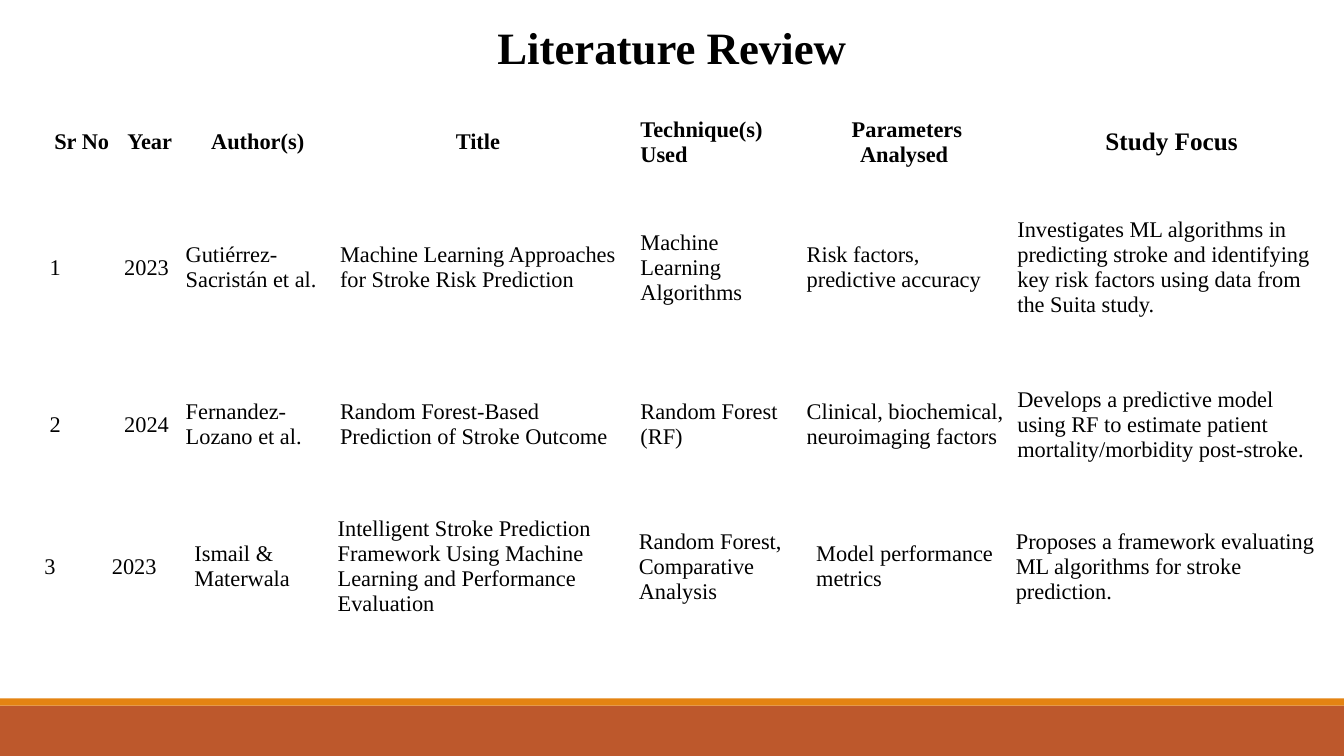
from pptx import Presentation
from pptx.dml.color import RGBColor
from pptx.enum.shapes import MSO_SHAPE
from pptx.enum.text import MSO_ANCHOR, PP_ALIGN
from pptx.oxml.ns import qn
from pptx.util import Cm, Pt

BLACK = RGBColor(0x00, 0x00, 0x00)
RUST = RGBColor(0xBD, 0x58, 0x2C)
ORANGE = RGBColor(0xE4, 0x83, 0x12)
FONT = "Times New Roman"
PLAIN_TABLE_STYLE = "{2D5ABB26-0587-4C30-8999-92F81FD0307C}"
WIDTH, HEIGHT = 33.87, 19.05

# Column 4 is a narrow empty gap; the last row is left open for the third study
REVIEW_COLUMNS = [1.88, 1.55, 3.89, 7.21, 0.3, 4.19, 5.31, 8.03]
REVIEW_HEIGHTS = [1.93, 4.39, 3.53, 4.83]
REVIEW_ROWS = [
    ["Sr No", "Year", "Author(s)", "Title", "", "Technique(s) Used",
     "Parameters Analysed ", "Study Focus"],
    ["1", "2023", "Gutiérrez-Sacristán et al.",
     "Machine Learning Approaches for Stroke Risk Prediction", "",
     "Machine Learning Algorithms", "Risk factors, predictive accuracy",
     "Investigates ML algorithms in predicting stroke and identifying key "
     "risk factors using data from the Suita study."],
    ["2", "2024", "Fernandez-Lozano et al.",
     "Random Forest-Based Prediction of Stroke Outcome", "",
     "Random Forest (RF)", "Clinical, biochemical, neuroimaging factors",
     "Develops a predictive model using RF to estimate patient "
     "mortality/morbidity post-stroke."],
    [""] * 8,
]
THIRD_COLUMNS = [1.7, 2.08, 3.61, 7.59, 4.47, 5.03, 7.98]
THIRD_ROWS = [
    ["3", "2023", "Ismail & Materwala",
     "Intelligent Stroke Prediction Framework Using Machine Learning and "
     "Performance Evaluation",
     "Random Forest, Comparative Analysis", "Model performance metrics",
     "Proposes a framework evaluating ML algorithms for stroke prediction."],
]


class ReviewPage:
    def __init__(self, page):
        self.page = page

    def style(self, para, size, bold=False, align=PP_ALIGN.LEFT):
        para.alignment = align
        for span in para.runs:
            span.font.name = FONT
            span.font.size = Pt(size)
            span.font.bold = bold
            span.font.color.rgb = BLACK

    def bar(self, top, height, color):
        bar = self.page.shapes.add_shape(
            MSO_SHAPE.RECTANGLE, Cm(0), Cm(top), Cm(WIDTH), Cm(height))
        bar.shadow.inherit = False
        bar.fill.solid()
        bar.fill.fore_color.rgb = color
        bar.line.fill.background()

    def title(self, text, left, top, width, height):
        box = self.page.shapes.add_textbox(
            Cm(left), Cm(top), Cm(width), Cm(height))
        box.text_frame.word_wrap = True
        box.text_frame.text = text
        self.style(box.text_frame.paragraphs[0], 32, True, PP_ALIGN.CENTER)

    def table(self, left, top, columns, heights, rows, margin):
        frame = self.page.shapes.add_table(
            len(rows), len(columns), Cm(left), Cm(top),
            Cm(sum(columns)), Cm(sum(heights)))
        for style_id in frame.element.iter(qn("a:tableStyleId")):
            style_id.text = PLAIN_TABLE_STYLE
        table = frame.table
        table.first_row = table.horz_banding = False
        for column, width in zip(table.columns, columns):
            column.width = Cm(width)
        for row, height, texts in zip(table.rows, heights, rows):
            row.height = Cm(height)
            for cell, text in zip(row.cells, texts):
                self.fill_cell(cell, text, margin)
        return table

    def fill_cell(self, cell, text, margin):
        cell.fill.background()
        cell.vertical_anchor = MSO_ANCHOR.MIDDLE
        cell.margin_left = cell.margin_right = Cm(margin)
        cell.margin_top = cell.margin_bottom = Cm(0.05)
        if text:
            cell.text_frame.text = text
            self.style(cell.text_frame.paragraphs[0], 16)

    def header(self, table):
        for cell in table.rows[0].cells:
            technique = cell.text.startswith("Technique")
            size = 18 if cell.text == "Study Focus" else 16
            align = PP_ALIGN.LEFT if technique else PP_ALIGN.CENTER
            self.style(cell.text_frame.paragraphs[0], size, True, align)


def main():
    deck = Presentation()
    deck.slide_width, deck.slide_height = Cm(WIDTH), Cm(HEIGHT)
    review = ReviewPage(deck.slides.add_slide(deck.slide_layouts[6]))

    # Footer bars
    review.bar(17.78, 1.27, RUST)
    review.bar(17.6, 0.18, ORANGE)

    # Title
    review.title("Literature Review", 1.96, 0.38, 29.95, 1.63)

    # Reviewed studies
    studies = review.table(
        1.12, 2.62, REVIEW_COLUMNS, REVIEW_HEIGHTS, REVIEW_ROWS, 0.13)
    review.header(studies)
    review.table(1.02, 12.45, THIRD_COLUMNS, [3.66], THIRD_ROWS, 0.1)

    deck.save("out.pptx")


if __name__ == "__main__":
    main()
